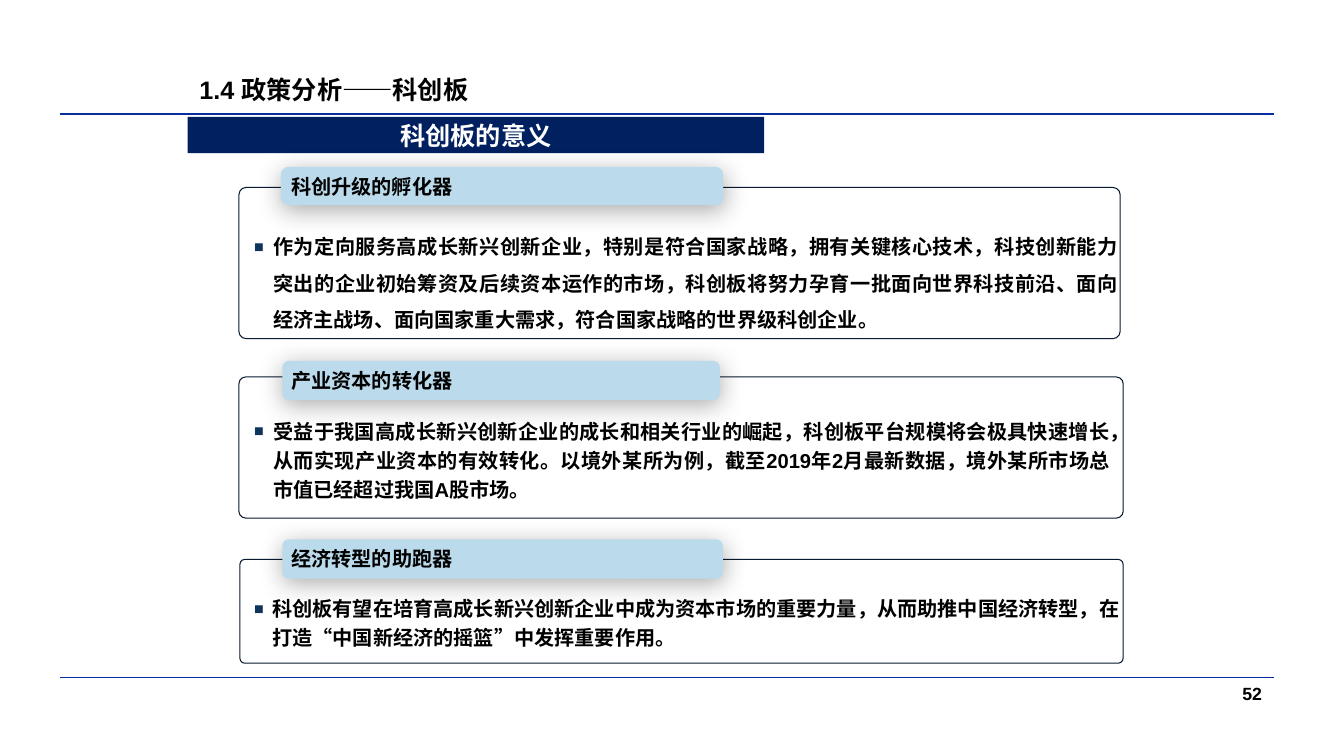
"""Build the slide on the significance of the science and technology innovation board."""
from lxml.etree import SubElement
from pptx import Presentation
from pptx.dml.color import RGBColor
from pptx.enum.lang import MSO_LANGUAGE_ID
from pptx.enum.shapes import MSO_CONNECTOR, MSO_SHAPE
from pptx.enum.text import MSO_ANCHOR, PP_ALIGN
from pptx.oxml.ns import qn
from pptx.util import Inches, Pt

BLACK = RGBColor(0x00, 0x00, 0x00)
WHITE = RGBColor(0xFF, 0xFF, 0xFF)
RULE_BLUE = RGBColor(0x06, 0x2E, 0x9E)
NAVY = RGBColor(0x00, 0x20, 0x60)
FRAME_INK = RGBColor(0x07, 0x1A, 0x2E)
LABEL_BLUE = RGBColor(0xBB, 0xDB, 0xEC)
BULLET_BLUE = RGBColor(0x0E, 0x34, 0x5B)
LATIN_FONT = "Arial"
CHINESE_FONT = "Noto Sans CJK SC"


def add_child(parent, tag, **attributes):
    return SubElement(parent, qn(tag), attributes)


def write(shape, text, size, color=BLACK, latin=LATIN_FONT, align=PP_ALIGN.LEFT,
          anchor=MSO_ANCHOR.MIDDLE, insets=(0.1, 0.05)):
    frame = shape.text_frame
    across, down = map(Inches, insets)
    settings = {"word_wrap": True, "vertical_anchor": anchor, "margin_left": across,
                "margin_right": across, "margin_top": down, "margin_bottom": down}
    for name, value in settings.items():
        setattr(frame, name, value)
    para = frame.paragraphs[0]
    para.alignment = align
    span = para.add_run()
    span.text = text
    font_format = {"size": Pt(size), "bold": True, "name": latin,
                   "language_id": MSO_LANGUAGE_ID.SIMPLIFIED_CHINESE}
    for name, value in font_format.items():
        setattr(span.font, name, value)
    span.font.color.rgb = color
    add_child(span.font._element, "a:ea", typeface=CHINESE_FONT)
    return para


deck = Presentation()
deck.slide_width, deck.slide_height = Inches(13.33), Inches(7.5)
page = deck.slides.add_slide(deck.slide_layouts[6])
shapes = page.shapes

for height in (1.13, 6.72):
    rule = shapes.add_connector(MSO_CONNECTOR.STRAIGHT, Inches(0.6), Inches(height),
                                Inches(12.64), Inches(height))
    rule.line.color.rgb = RULE_BLUE
    rule.line.width = Pt(1)
    add_child(rule._element.spPr, "a:effectLst")

number = shapes.add_textbox(*map(Inches, (11.92, 6.72, 1, 0.52)))
write(number, "52", 12.6, align=PP_ALIGN.CENTER, anchor=MSO_ANCHOR.TOP)

banner = shapes.add_shape(MSO_SHAPE.RECTANGLE, *map(Inches, (1.86, 1.16, 5.72, 0.36)))
banner.shadow.inherit = False
banner.fill.solid()
banner.fill.fore_color.rgb = NAVY
banner.line.fill.background()
write(banner, "科创板的意义", 18, WHITE, CHINESE_FONT, PP_ALIGN.CENTER, insets=(0.08, 0.04))

title = shapes.add_textbox(*map(Inches, (1.88, 0.64, 8.14, 0.49)))
write(title, "1.4 政策分析——科创板", 18)

sections = [
    {"heading": "科创升级的孵化器",
     "body": "作为定向服务高成长新兴创新企业，特别是符合国家战略，拥有关键核心技术，科技创新能力突出的企业初始筹资及后续资本运作的市场，科创板将努力孕育一批面向世界科技前沿、面向经济主战场、面向国家重大需求，符合国家战略的世界级科创企业。",
     "frame": (2.37, 1.86, 8.74, 1.5), "label": (2.8, 1.67, 4.36, 0.35),
     "text": (2.47, 2.18, 8.67, 0.73), "outline": 2, "leading": 1.5, "gap": 0,
     "hang": 0.19, "align": PP_ALIGN.JUSTIFY},
    {"heading": "产业资本的转化器",
     "body": "受益于我国高成长新兴创新企业的成长和相关行业的崛起，科创板平台规模将会极具快速增长，从而实现产业资本的有效转化。以境外某所为例，截至2019年2月最新数据，境外某所市场总市值已经超过我国A股市场。",
     "frame": (2.37, 3.74, 8.77, 1.4), "label": (2.8, 3.58, 4.34, 0.39),
     "text": (2.47, 4.08, 8.59, 0.95), "outline": 0, "leading": 1.2, "gap": 2.9,
     "hang": 0.19, "align": PP_ALIGN.JUSTIFY},
    {"heading": "经济转型的助跑器",
     "body": "科创板有望在培育高成长新兴创新企业中成为资本市场的重要力量，从而助推中国经济转型，在打造“中国新经济的摇篮”中发挥重要作用。",
     "frame": (2.38, 5.55, 8.76, 1.03), "label": (2.8, 5.35, 4.37, 0.39),
     "text": (2.47, 5.84, 8.68, 0.63), "outline": 0, "leading": 1.2, "gap": 2.9,
     "hang": 0.18, "align": PP_ALIGN.LEFT},
]

for section in sections:
    border = shapes.add_shape(MSO_SHAPE.ROUNDED_RECTANGLE, *map(Inches, section["frame"]))
    border.adjustments[0] = 0.048
    border.shadow.inherit = False
    border.fill.background()
    border.line.color.rgb = FRAME_INK
    border.line.width = Pt(0.75)

    label = shapes.add_shape(MSO_SHAPE.ROUNDED_RECTANGLE, *map(Inches, section["label"]))
    label.fill.solid()
    label.fill.fore_color.rgb = LABEL_BLUE
    if section["outline"]:
        label.line.color.rgb = LABEL_BLUE
        label.line.width = Pt(section["outline"])
    else:
        label.line.fill.background()
    effects = add_child(label._element.spPr, "a:effectLst")
    shadow = add_child(effects, "a:outerShdw", blurRad=str(Pt(17.8)), dist=str(Pt(3)),
                       dir=str(87 * 60000), rotWithShape="0")
    shade = add_child(shadow, "a:srgbClr", val=str(BLACK))
    add_child(shade, "a:alpha", val="33000")
    write(label, section["heading"], 14.4, insets=(0.07, 0.03))

    box = shapes.add_textbox(*map(Inches, section["text"]))
    para = write(box, section["body"], 14.4, align=section["align"],
                 anchor=MSO_ANCHOR.TOP, insets=(0.05, 0.03))
    para.line_spacing = section["leading"]
    para.space_before = para.space_after = Pt(section["gap"])
    properties = para._p.get_or_add_pPr()
    properties.set("marL", str(Inches(section["hang"])))
    properties.set("indent", str(-Inches(section["hang"])))
    bullet_color = add_child(properties, "a:buClr")
    add_child(bullet_color, "a:srgbClr", val=str(BULLET_BLUE))
    add_child(properties, "a:buSzPct", val="80000")
    add_child(properties, "a:buFont", typeface=LATIN_FONT)
    add_child(properties, "a:buChar", char="■")

deck.save("out.pptx")
